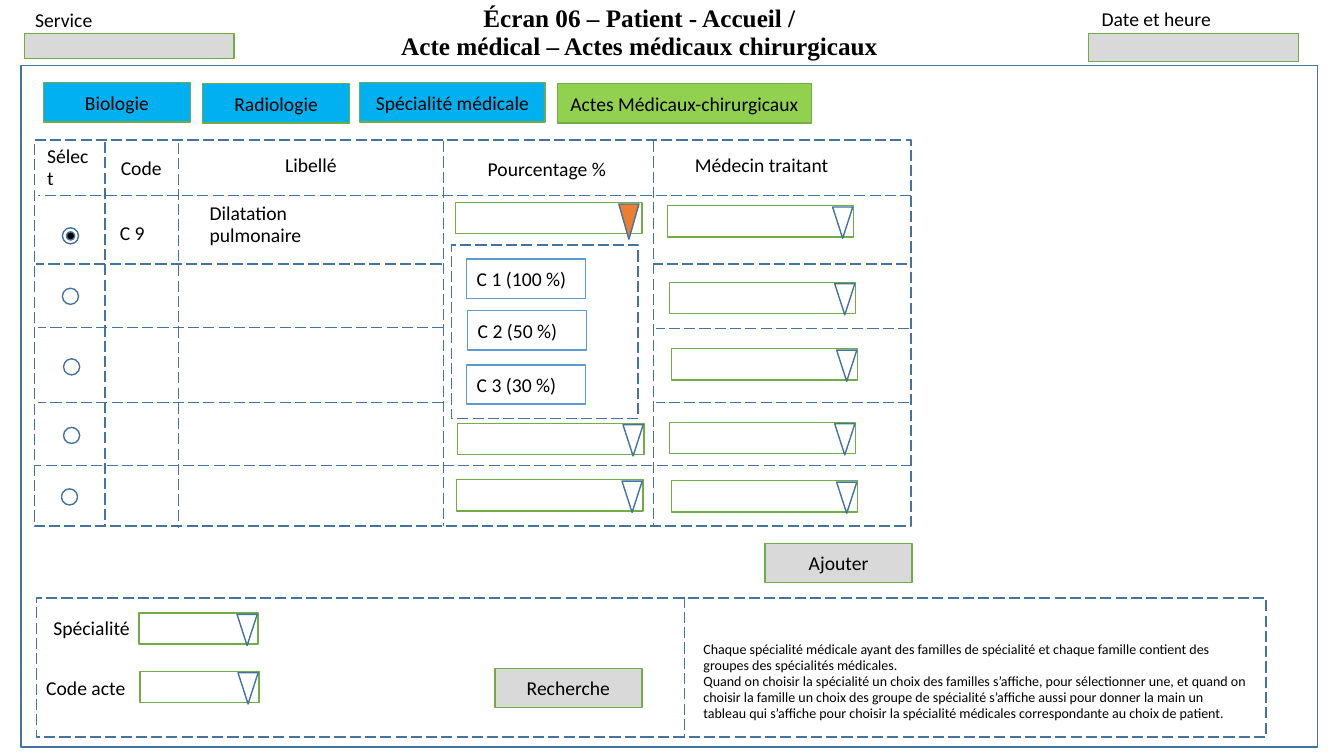
"""Build the mock-up screen for surgical medical acts."""
from dataclasses import dataclass
from typing import Optional

from lxml.etree import SubElement
from pptx import Presentation
from pptx.dml.color import RGBColor
from pptx.enum.dml import MSO_LINE
from pptx.enum.shapes import MSO_CONNECTOR, MSO_SHAPE
from pptx.enum.text import MSO_ANCHOR, PP_ALIGN
from pptx.oxml.ns import qn
from pptx.util import Pt

BLUE, GREEN, OPTION_BLUE = "43739E", "70AD47", "5B9BD5"
GREY, TAB_BLUE, TAB_GREEN, ORANGE = "D9D9D9", "00B0F0", "92D050", "ED7D31"
WHITE, BLACK = "FFFFFF", "000000"


@dataclass
class Box:
    left: float
    top: float
    width: float
    height: float
    line: str = GREEN
    fill: Optional[str] = None
    text: str = ""
    align: PP_ALIGN = PP_ALIGN.CENTER
    dashed: bool = False
    kind: MSO_SHAPE = MSO_SHAPE.RECTANGLE
    rotation: float = 0


@dataclass
class Label:
    text: str
    left: float
    top: float
    width: float
    height: float = 31
    size: float = 14
    font: str = "Calibri"
    bold: bool = False
    align: PP_ALIGN = PP_ALIGN.LEFT
    anchor: MSO_ANCHOR = MSO_ANCHOR.MIDDLE
    spacing: float = 0.95
    wrap: bool = True


@dataclass
class Dropdown:
    left: float
    top: float
    width: float = 133.2
    arrow_fill: Optional[str] = None
    arrow_height: float = 22.3
    arrow_inset: float = 15.1


@dataclass
class Divider:
    x1: float
    y1: float
    x2: float
    y2: float


FRAMES = [
    Box(15.1, 46.8, 925.9, 486.7, BLUE),
    Box(24.5, 100.1, 626.4, 275.8, BLUE, dashed=True),
    Box(25.9, 427, 878.4, 99.4, BLUE, dashed=True),
    Box(322.6, 175, 133.2, 123.8, BLUE, dashed=True),
]
HEADER_FIELDS = [
    Box(17.3, 23.8, 149.8, 18, fill=GREY),
    Box(777.6, 23.8, 149.8, 20.2, fill=GREY),
]
BUTTONS = [
    Box(left, top, width, 28.1, fill=fill, text=text)
    for text, left, top, width, fill in [
        ("Biologie", 31, 59, 105.1, TAB_BLUE),
        ("Radiologie", 144.7, 59.8, 105.1, TAB_BLUE),
        ("Spécialité médicale", 257, 59, 132.5, TAB_BLUE),
        ("Actes Médicaux-chirurgicaux", 398.2, 59.8, 181.4, TAB_GREEN),
        ("Ajouter", 546.5, 388.1, 105.1, GREY),
        ("Recherche", 353.5, 477.4, 105.1, GREY),
    ]
]
OPTIONS = [
    Box(left, top, 85, 28.1, OPTION_BLUE, WHITE, text, PP_ALIGN.LEFT)
    for text, left, top in [
        ("C 1 (100 %)", 333.4, 185),
        ("C 2 (50 %)", 334.1, 221.8),
        ("C 3 (30 %)", 333.4, 260.6),
    ]
]
RADIOS = [
    Box(left, top, 11.5, 11.5, BLUE, kind=MSO_SHAPE.OVAL)
    for left, top in [(44.6, 162.7), (44.6, 205.9), (45.4, 256.3),
                      (45.4, 305.3), (43.9, 349.2)]
]
SELECTED_DOT = Box(47.5, 165.6, 5.8, 5.8, BLUE, BLACK, kind=MSO_SHAPE.OVAL)

DROPDOWNS = [
    Dropdown(325.4, 144.7, arrow_fill=ORANGE, arrow_height=25.2, arrow_inset=16.6),
    Dropdown(326.9, 302.4), Dropdown(326.2, 342.7),
    Dropdown(476.6, 146.9), Dropdown(478.1, 201.6), Dropdown(479.5, 249.1),
    Dropdown(478.1, 301.7), Dropdown(479.5, 343.4),
    Dropdown(99.4, 437.8, 85), Dropdown(100.1, 479.5, 85),
]
COLUMN_DIVIDERS = [
    Divider(x, top, x, top + 275.1)
    for x, top in [(74.9, 101.5), (127.4, 102.2), (316.8, 100.8), (466.6, 100.8)]
]
ROW_DIVIDERS = [
    Divider(right, y, left, y)
    for left, right, y in [
        (27.4, 650.9, 139.7), (25.9, 315.4, 188.6), (466.6, 648, 188.6),
        (27.4, 316.8, 234), (468.7, 649.4, 234.7), (27.4, 316.8, 287.3),
        (468.7, 649.4, 287.3), (25.2, 651.6, 332.6),
    ]
]
SEARCH_DIVIDER = Divider(488.9, 426.2, 488.9, 525.6)

LABELS = [
    Label("Écran 06 – Patient - Accueil /\vActe médical – Actes médicaux chirurgicaux",
          275, 5, 363.6, 42.5, 18, "Times New Roman", True, PP_ALIGN.CENTER,
          MSO_ANCHOR.BOTTOM),
    Label("Service", 18, 2.2, 100.8, 24.5, anchor=MSO_ANCHOR.TOP, spacing=1),
    Label("Date et heure", 779.8, 1.4, 93.6, 24.5, anchor=MSO_ANCHOR.TOP,
          spacing=1, wrap=False),
    Label("Sélect", 26.6, 104.4, 48.2),
    Label("Code", 79.2, 105.1, 48.2),
    Label("Libellé", 196.6, 103, 61.2),
    Label("Pourcentage %", 341.3, 105.8, 99.4),
    Label("Médecin traitant", 488.2, 104.4, 111.6, 27.4, align=PP_ALIGN.CENTER),
    Label("C 9", 78.5, 151.2, 35.3),
    Label("Dilatation pulmonaire", 142.6, 149, 136, 23),
    Label("Spécialité", 31, 435.6, 79.2, 27.4),
    Label("Code acte", 25.9, 478.1, 78.5, 27.4),
    Label("Chaque spécialité médicale ayant des familles de spécialité et chaque "
          "famille contient des groupes des spécialités médicales.\n"
          "Quand on choisir la spécialité un choix des familles s’affiche, pour "
          "sélectionner une, et quand on choisir la famille un choix des groupe de "
          "spécialité s’affiche aussi pour donner la main un tableau qui s’affiche "
          "pour choisir la spécialité médicales correspondante au choix de patient.",
          495.4, 447.1, 401.8, 79.2, 10),
]


def color(value: str) -> RGBColor:
    return RGBColor.from_string(value)


def write(frame, label: Label) -> None:
    frame.text = label.text
    frame.word_wrap = label.wrap
    frame.vertical_anchor = label.anchor
    for paragraph in frame.paragraphs:
        paragraph.alignment = label.align
        paragraph.line_spacing = label.spacing
        font = paragraph.font
        font.name, font.size, font.bold = label.font, Pt(label.size), label.bold
        font.color.rgb = color(BLACK)


def draw_label(shapes, label: Label) -> None:
    area = map(Pt, (label.left, label.top, label.width, label.height))
    write(shapes.add_textbox(*area).text_frame, label)


def draw_box(shapes, box: Box) -> None:
    area = (box.left, box.top, box.width, box.height)
    outline = shapes.add_shape(box.kind, *map(Pt, area))
    outline.shadow.inherit = False
    outline.rotation = box.rotation
    if box.fill:
        outline.fill.solid()
        outline.fill.fore_color.rgb = color(box.fill)
    else:
        outline.fill.background()
    style_line(outline.line, box.line, box.dashed)
    if box.text:
        write(outline.text_frame, Label(box.text, *area, align=box.align, spacing=1))


def style_line(line, value: str, dashed: bool) -> None:
    line.color.rgb = color(value)
    line.width = Pt(1)
    if dashed:
        line.dash_style = MSO_LINE.LONG_DASH


def draw_dropdown(shapes, field: Dropdown) -> None:
    draw_box(shapes, Box(field.left, field.top, field.width, 22.3))
    draw_box(shapes, Box(field.left + field.width - field.arrow_inset, field.top + 1,
                         14.4, field.arrow_height, BLUE, field.arrow_fill,
                         kind=MSO_SHAPE.ISOSCELES_TRIANGLE, rotation=180))


def draw_divider(shapes, divider: Divider) -> None:
    ends = map(Pt, (divider.x1, divider.y1, divider.x2, divider.y2))
    rule = shapes.add_connector(MSO_CONNECTOR.STRAIGHT, *ends)
    style_line(rule.line, BLUE, True)
    SubElement(rule._element.spPr, qn("a:effectLst"))


def main() -> None:
    deck = Presentation()
    deck.slide_width, deck.slide_height = Pt(960), Pt(540)
    shapes = deck.slides.add_slide(deck.slide_layouts[6]).shapes
    for box in FRAMES + HEADER_FIELDS + BUTTONS + OPTIONS + RADIOS + [SELECTED_DOT]:
        draw_box(shapes, box)
    for divider in COLUMN_DIVIDERS + ROW_DIVIDERS + [SEARCH_DIVIDER]:
        draw_divider(shapes, divider)
    for field in DROPDOWNS:
        draw_dropdown(shapes, field)
    for label in LABELS:
        draw_label(shapes, label)
    deck.save("out.pptx")


if __name__ == "__main__":
    main()
